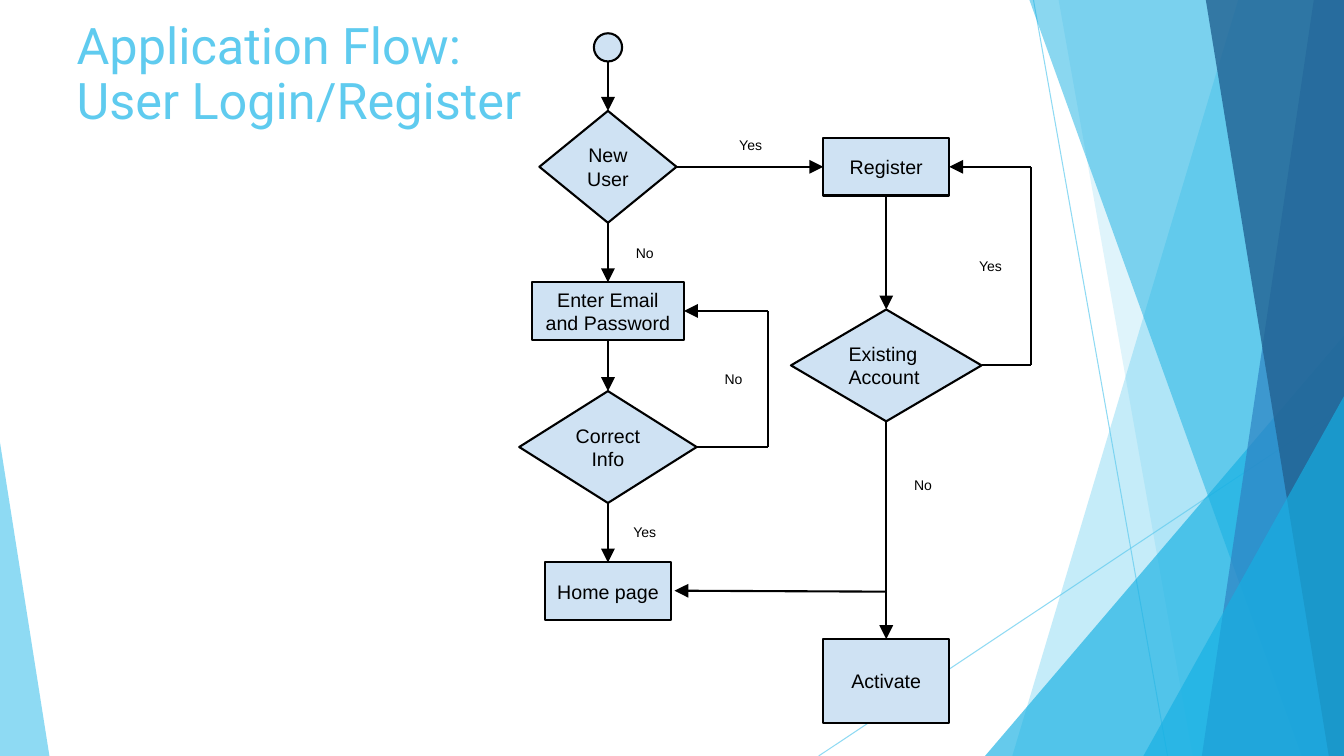
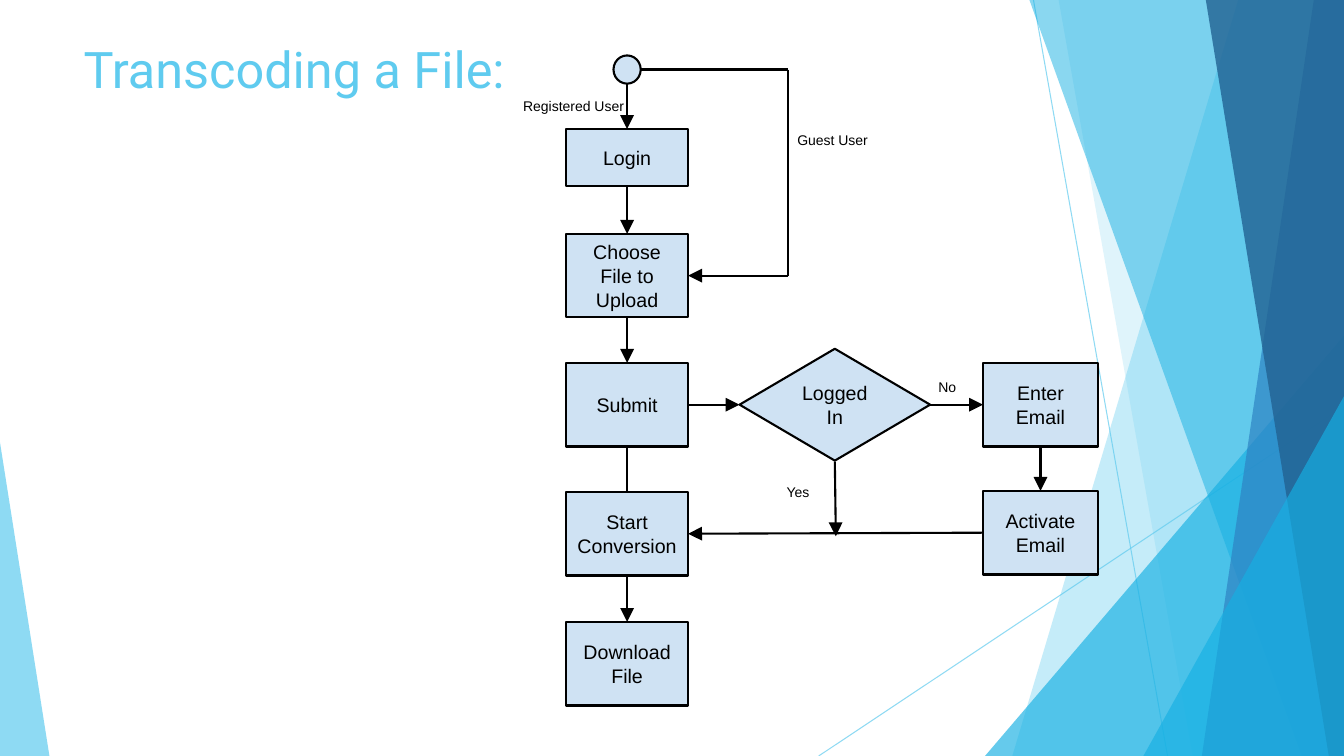
from lxml.etree import SubElement
from pptx import Presentation
from pptx.dml.color import RGBColor
from pptx.enum.shapes import MSO_CONNECTOR, MSO_SHAPE
from pptx.enum.text import MSO_ANCHOR, PP_ALIGN
from pptx.oxml.ns import qn
from pptx.util import Inches, Pt

WIDTH, HEIGHT = 13.33, 7.5
COLORS = {
    "sky": "5FCBEF",
    "cyan": "16B0E3",
    "blue": "2E83C3",
    "navy": "226292",
    "node": "CFE2F3",
    "ink": "000000",
}

BACKDROP_LINES = [((10.25, 0), (11.58, HEIGHT)), ((WIDTH, 4.03), (8.12, HEIGHT))]
BACKDROP_AREAS = [
    ("band", 12.28, 10.04, "sky", 36),
    ("band", 10.5, 11.83, "sky", 20),
    ("triangle", (9.77, 3.33, 3.56), 1, "cyan", 66),
    ("band", 10.21, 12.91, "cyan", 50),
    ("band", 13.03, 11.92, "blue", 70),
    ("band", 11.96, 13.18, "navy", 80),
    ("triangle", (11.34, 3.93, 1.99), 1, "cyan", 66),
    ("triangle", (0, 4.39, 0.49), 0, "sky", 70),
]

START = ""
KINDS = {
    "start": MSO_SHAPE.OVAL,
    "step": MSO_SHAPE.RECTANGLE,
    "decision": MSO_SHAPE.DIAMOND,
}
SIDES = ["top", "left", "bottom", "right"]
DIRECTIONS = {
    "down": ("bottom", "top"),
    "right": ("right", "left"),
    "left": ("left", "right"),
}

FLOWCHARTS = [
    {
        "title": "Application Flow:\vUser Login/Register",
        "title_box": (0.66, 0.16, 4.65, 1.47),
        "nodes": [
            (START, "start", 6.03, 0.33, 0.28, 0.28),
            ("New User", "decision", 6.03, 1.1, 1.36, 1.11),
            ("Enter Email and Password", "step", 6.03, 2.8, 1.51, 0.57),
            ("Correct Info", "decision", 6.03, 3.88, 1.76, 1.11),
            ("Home page", "step", 6.03, 5.58, 1.25, 0.57),
            ("Register", "step", 8.79, 1.37, 1.25, 0.57),
            ("Existing Account", "decision", 8.79, 3.07, 1.89, 1.11),
            ("Activate", "step", 8.79, 6.34, 1.25, 0.83),
        ],
        "left_aligned": ["Existing Account"],
        "flows": [
            (START, "down", "New User", True),
            ("New User", "right", "Register", True),
            ("New User", "down", "Enter Email and Password", True),
            ("Enter Email and Password", "down", "Correct Info", True),
            ("Correct Info", "down", "Home page", True),
            ("Register", "down", "Existing Account", True),
            ("Existing Account", "down", "Activate", True),
        ],
        "loops": [
            ("Correct Info", 7.62, "Enter Email and Password"),
            ("Existing Account", 10.23, "Register"),
        ],
        "branches": [((8.79, 5.87), (6.69, 5.86))],
        "labels": [
            ("Yes", 7.08, 1.27, 0.73, PP_ALIGN.CENTER),
            ("Yes", 9.46, 2.47, 0.73, PP_ALIGN.CENTER),
            ("Yes", 6.03, 5.11, 0.73, PP_ALIGN.CENTER),
            ("No", 6.03, 2.34, 0.73, PP_ALIGN.CENTER),
            ("No", 6.91, 3.59, 0.73, PP_ALIGN.CENTER),
            ("No", 8.79, 4.64, 0.73, PP_ALIGN.CENTER),
        ],
    },
    {
        "title": "Transcoding a File:",
        "title_box": (0.73, 0.4, 4.56, 1.44),
        "nodes": [
            (START, "start", 6.22, 0.55, 0.27, 0.28),
            ("Login", "step", 6.22, 1.28, 1.21, 0.57),
            ("Choose File to Upload", "step", 6.22, 2.32, 1.21, 0.83),
            ("Submit", "step", 6.22, 3.6, 1.21, 0.83),
            ("Start Conversion", "step", 6.22, 4.88, 1.21, 0.83),
            ("Download File", "step", 6.22, 6.17, 1.21, 0.83),
            ("Logged In", "decision", 8.28, 3.46, 1.89, 1.11),
            ("Enter Email", "step", 10.32, 3.6, 1.14, 0.83),
            ("Activate Email", "step", 10.32, 4.87, 1.14, 0.83),
        ],
        "left_aligned": [],
        "flows": [
            (START, "down", "Login", True),
            ("Login", "down", "Choose File to Upload", True),
            ("Choose File to Upload", "down", "Submit", True),
            ("Submit", "down", "Start Conversion", False),
            ("Start Conversion", "down", "Download File", True),
            ("Submit", "right", "Logged In", True),
            ("Logged In", "right", "Enter Email", True),
            ("Enter Email", "down", "Activate Email", True),
            ("Activate Email", "left", "Start Conversion", True),
        ],
        "loops": [(START, 7.82, "Choose File to Upload")],
        "branches": [((8.28, 4.58), (8.29, 5.32))],
        "labels": [
            ("Registered User", 5.09, 0.88, 1.26, PP_ALIGN.LEFT),
            ("Guest User", 7.81, 1.22, 1.26, PP_ALIGN.LEFT),
            ("No", 9.03, 3.67, 0.73, PP_ALIGN.CENTER),
            ("Yes", 7.55, 4.71, 0.73, PP_ALIGN.CENTER),
        ],
    },
]


def rgb(name):
    return RGBColor.from_string(COLORS[name])


def to_point(x, y):
    return Inches(x), Inches(y)


def set_opacity(shape, percent):
    for color in shape.element.iter(qn("a:srgbClr")):
        SubElement(color, qn("a:alpha")).set("val", str(percent * 1000))


def format_text(frame, size, alignment, font="Arial", color="ink", margin=0.1):
    frame.word_wrap = True
    frame.margin_left = frame.margin_right = Inches(0.1)
    frame.margin_top = frame.margin_bottom = Inches(margin)
    for paragraph in frame.paragraphs:
        paragraph.alignment = alignment
        paragraph.font.size = Pt(size)
        paragraph.font.name = font
        paragraph.font.color.rgb = rgb(color)


def add_line(slide, begin, end, color="ink", width=1.5, arrow=False):
    line = slide.shapes.add_connector(MSO_CONNECTOR.STRAIGHT, *begin, *end)
    line.line.color.rgb = rgb(color)
    line.line.width = Pt(width)
    if arrow:
        head = SubElement(line.line._get_or_add_ln(), qn("a:tailEnd"))
        for key, value in (("type", "triangle"), ("w", "lg"), ("len", "lg")):
            head.set(key, value)
    SubElement(line.element.spPr, qn("a:effectLst"))
    return line


def add_area(slide, kind, place, slant, color, opacity):
    if kind == "band":
        corners = [(WIDTH, 0), (WIDTH, HEIGHT), (slant, HEIGHT)]
        builder = slide.shapes.build_freeform(*to_point(place, 0))
        builder.add_line_segments([to_point(*corner) for corner in corners])
        area = builder.convert_to_shape()
    else:
        left, top, width = place
        area = slide.shapes.add_shape(
            MSO_SHAPE.ISOSCELES_TRIANGLE,
            *to_point(left, top), *to_point(width, HEIGHT - top))
        area.adjustments[0] = slant
    area.shadow.inherit = False
    area.fill.solid()
    area.fill.fore_color.rgb = rgb(color)
    area.line.fill.background()
    set_opacity(area, opacity)
    return area


def build_backdrop(slide):
    parts = []
    for begin, end in BACKDROP_LINES:
        line = add_line(slide, to_point(*begin), to_point(*end), "sky", 0.75)
        set_opacity(line, 70)
        parts.append(line)
    parts += [add_area(slide, *area) for area in BACKDROP_AREAS]
    for number, part in enumerate(parts, start=100):
        next(part.element.iter(qn("p:cNvPr"))).set("id", str(number))
        slide.slide_layout.shapes.element.append(part.element)


def set_title(slide, text, box):
    title = slide.shapes.title
    title.left, title.top, title.width, title.height = map(Inches, box)
    title.text_frame.text = text
    title.text_frame.vertical_anchor = MSO_ANCHOR.TOP
    format_text(title.text_frame, 36, PP_ALIGN.LEFT, "Roboto", "sky", 0.05)
    title.text_frame.paragraphs[0].line_spacing = 0.9


def add_node(slide, text, kind, center, top, width, height, alignment):
    node = slide.shapes.add_shape(
        KINDS[kind], *to_point(center - width / 2, top), *to_point(width, height))
    node.shadow.inherit = False
    node.fill.solid()
    node.fill.fore_color.rgb = rgb("node")
    node.line.color.rgb = rgb("ink")
    node.line.width = Pt(1.5)
    if text:
        node.text_frame.text = text
        node.text_frame.vertical_anchor = MSO_ANCHOR.MIDDLE
        format_text(node.text_frame, 14, alignment)
    return node


def side_point(node, side):
    x = {"left": node.left, "right": node.left + node.width}
    y = {"top": node.top, "bottom": node.top + node.height}
    return (x.get(side, node.left + node.width // 2),
            y.get(side, node.top + node.height // 2))


def add_flow(slide, source, direction, target, arrow):
    source_side, target_side = DIRECTIONS[direction]
    line = add_line(slide, side_point(source, source_side),
                    side_point(target, target_side), arrow=arrow)
    if source.auto_shape_type != KINDS["start"]:
        line.begin_connect(source, SIDES.index(source_side))
    line.end_connect(target, SIDES.index(target_side))


def add_loop(slide, source, turn, target):
    begin, end = side_point(source, "right"), side_point(target, "right")
    corners = [(Inches(turn), begin[1]), (Inches(turn), end[1])]
    points = [begin, *corners, end]
    for start, stop in zip(points, points[1:]):
        add_line(slide, start, stop, arrow=stop == end)


def add_label(slide, text, left, top, width, alignment):
    label = slide.shapes.add_textbox(*to_point(left, top), *to_point(width, 0.35))
    label.text_frame.text = text
    format_text(label.text_frame, 10, alignment)


def build_flowchart(slide, chart):
    set_title(slide, chart["title"], chart["title_box"])
    nodes = {}
    for text, *geometry in chart["nodes"]:
        is_left = text in chart["left_aligned"]
        alignment = PP_ALIGN.LEFT if is_left else PP_ALIGN.CENTER
        nodes[text] = add_node(slide, text, *geometry, alignment)
    for source, direction, target, arrow in chart["flows"]:
        add_flow(slide, nodes[source], direction, nodes[target], arrow)
    for source, turn, target in chart["loops"]:
        add_loop(slide, nodes[source], turn, nodes[target])
    for begin, end in chart["branches"]:
        add_line(slide, to_point(*begin), to_point(*end), arrow=True)
    for label in chart["labels"]:
        add_label(slide, *label)


def main():
    presentation = Presentation()
    presentation.slide_width = Inches(WIDTH)
    presentation.slide_height = Inches(HEIGHT)
    layout = presentation.slide_layouts[5]
    slides = [presentation.slides.add_slide(layout) for chart in FLOWCHARTS]
    build_backdrop(slides[0])
    for slide, chart in zip(slides, FLOWCHARTS):
        build_flowchart(slide, chart)
    presentation.save("out.pptx")


if __name__ == "__main__":
    main()
